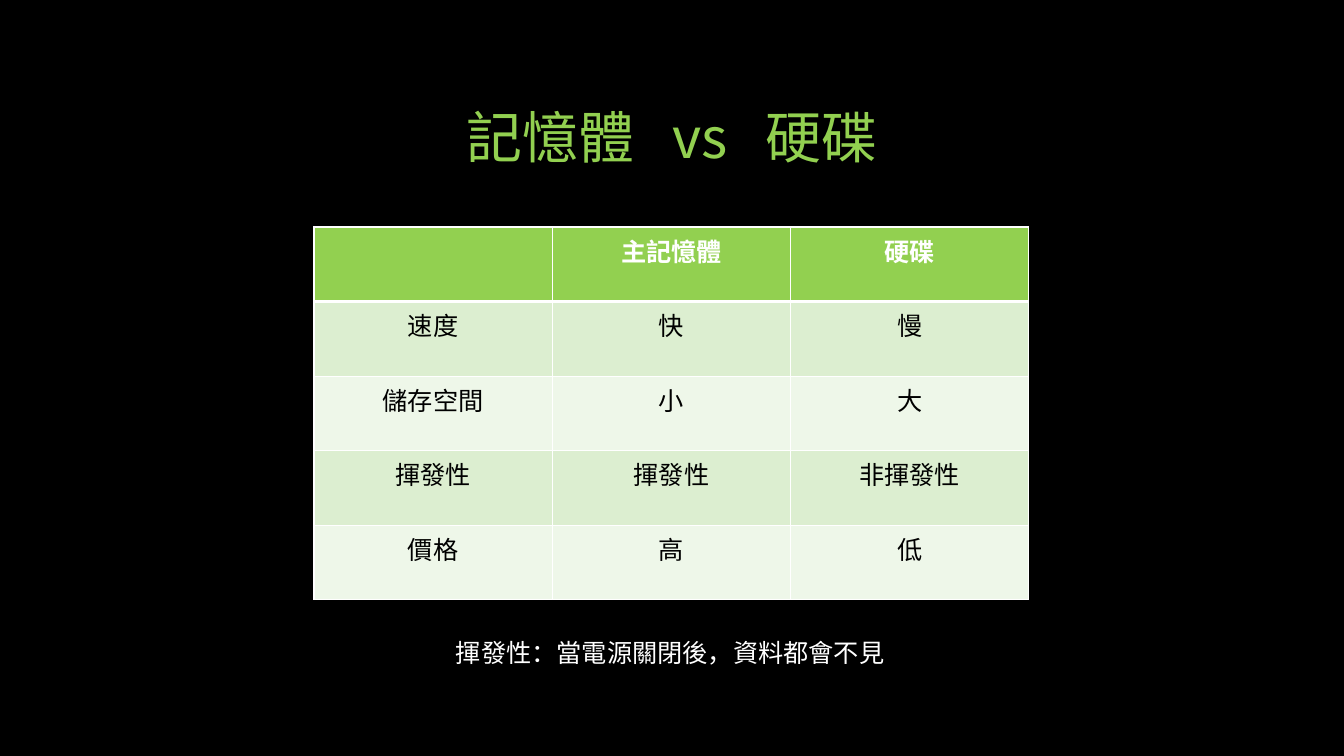
from lxml.etree import SubElement
from pptx import Presentation
from pptx.dml.color import RGBColor
from pptx.enum.text import MSO_ANCHOR, PP_ALIGN
from pptx.oxml import parse_xml
from pptx.oxml.ns import nsdecls, qn
from pptx.util import Emu, Pt

SCALE = 914400 / 100.8
COLORS = {"back": "000000", "green": "92D050", "odd": "DCEED0",
          "even": "EEF7E9", "white": "FFFFFF", "black": "000000"}
CJK = "Noto Sans CJK SC"


def px(n):
    return Emu(round(n * SCALE))


def rgb(name):
    return RGBColor.from_string(COLORS[name])


def write(frame, *parts, size=18, face="Calibri", east=None, color="black",
          bold=False, align=PP_ALIGN.CENTER, lead=None, gap=0):
    """Write the parts as runs; a run holding one space is widened by gap points."""
    para = frame.paragraphs[0]
    para.alignment = align
    if lead:
        para.line_spacing = lead
    for part in parts:
        run = para.add_run()
        run.text = part
        font = run.font
        font.size, font.name, font.bold = Pt(size), face, bold
        font.color.rgb = rgb(color)
        props = run._r.get_or_add_rPr()
        if east:
            SubElement(props, qn("a:ea")).set("typeface", east)
        if part == " " and gap:
            props.set("spc", str(gap * 100))


class Deck:
    def __init__(self, width, height):
        self.show = Presentation()
        self.show.slide_width, self.show.slide_height = px(width), px(height)
        self.slide = self.show.slides.add_slide(self.show.slide_layouts[6])
        fill = self.slide.background.fill
        fill.solid()
        fill.fore_color.rgb = rgb("back")

    def text(self, box, *parts, wrap=True, anchor=MSO_ANCHOR.TOP, **style):
        frame = self.slide.shapes.add_textbox(*map(px, box)).text_frame
        frame.word_wrap, frame.vertical_anchor = wrap, anchor
        write(frame, *parts, **style)

    def edge(self, cell, top, base):
        props = cell._tc.get_or_add_tcPr()
        sides = {"L": 1, "R": 1, "T": top, "B": base}
        for spot, (side, width) in enumerate(sides.items()):
            props.insert(spot, parse_xml(
                f'<a:ln{side} {nsdecls("a")} w="{Pt(width)}"><a:solidFill>'
                f'<a:srgbClr val="{COLORS["white"]}"/></a:solidFill></a:ln{side}>'))

    def table(self, box, rows):
        grid = self.slide.shapes.add_table(len(rows), len(rows[0]), *map(px, box)).table
        for r, row in enumerate(rows):
            head = r == 0
            shade = "green" if head else "odd" if r % 2 else "even"
            for c, word in enumerate(row):
                cell = grid.cell(r, c)
                cell.fill.solid()
                cell.fill.fore_color.rgb = rgb(shade)
                self.edge(cell, 3 if r == 1 else 1, 3 if head else 1)
                if word:
                    write(cell.text_frame, word, bold=head,
                          color="white" if head else "black")


def main():
    deck = Deck(1344, 756)

    # Title
    deck.text((168, 50, 1008, 126), "記憶體", " ", "vs", " ", "硬碟",
              anchor=MSO_ANCHOR.BOTTOM, size=40, face=CJK, east=CJK,
              color="green", lead=0.9, gap=18)

    # Comparison table
    deck.table((314, 227, 715, 373), [
        ("", "主記憶體", "硬碟"),
        ("速度", "快", "慢"),
        ("儲存空間", "小", "大"),
        ("揮發性", "揮發性", "非揮發性"),
        ("價格", "高", "低"),
    ])

    # Footnote
    deck.text((446, 632, 453, 40), "揮發性：當電源關閉後，資料都會不見",
              wrap=False, color="white", align=PP_ALIGN.LEFT)

    deck.show.save("out.pptx")


if __name__ == "__main__":
    main()
